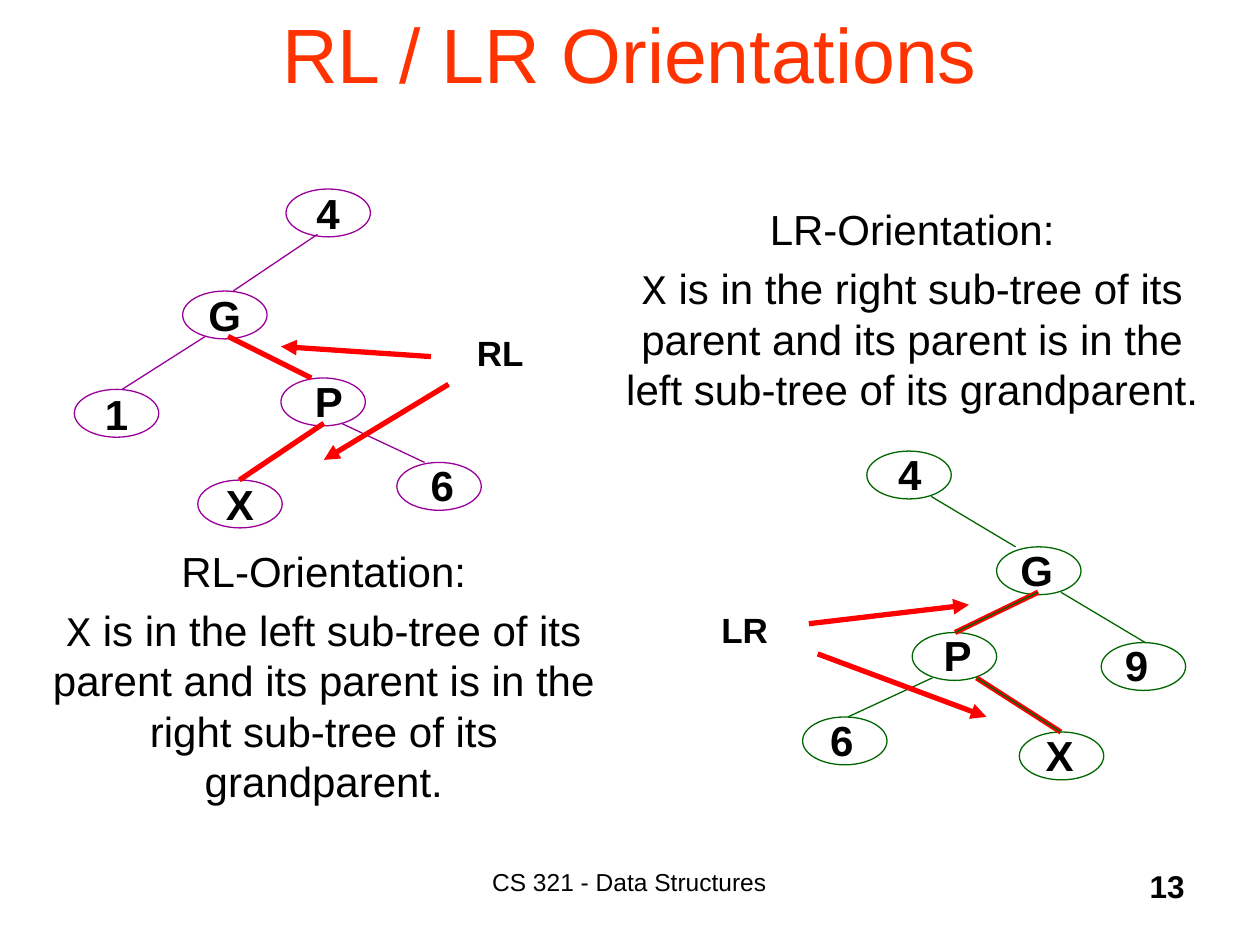
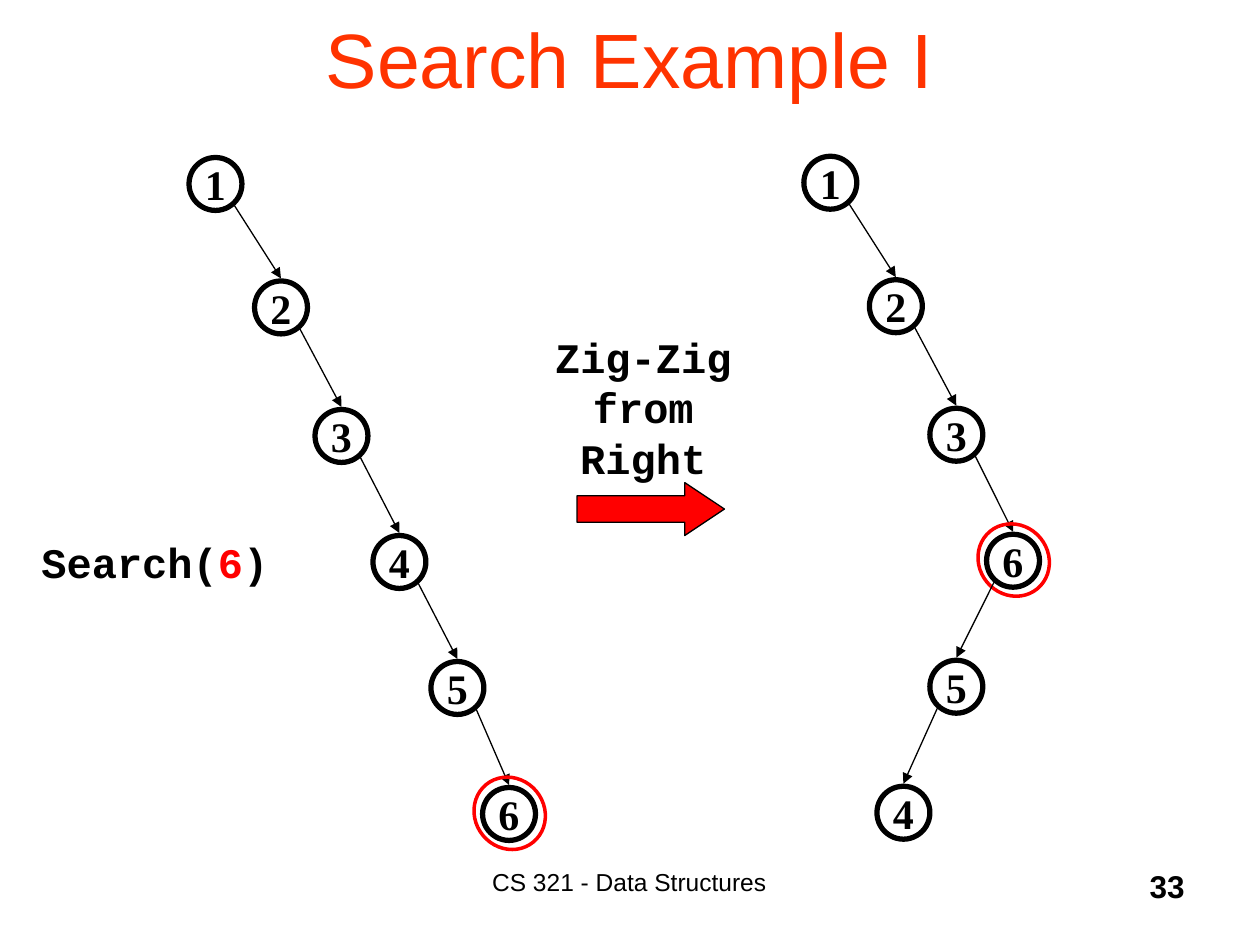
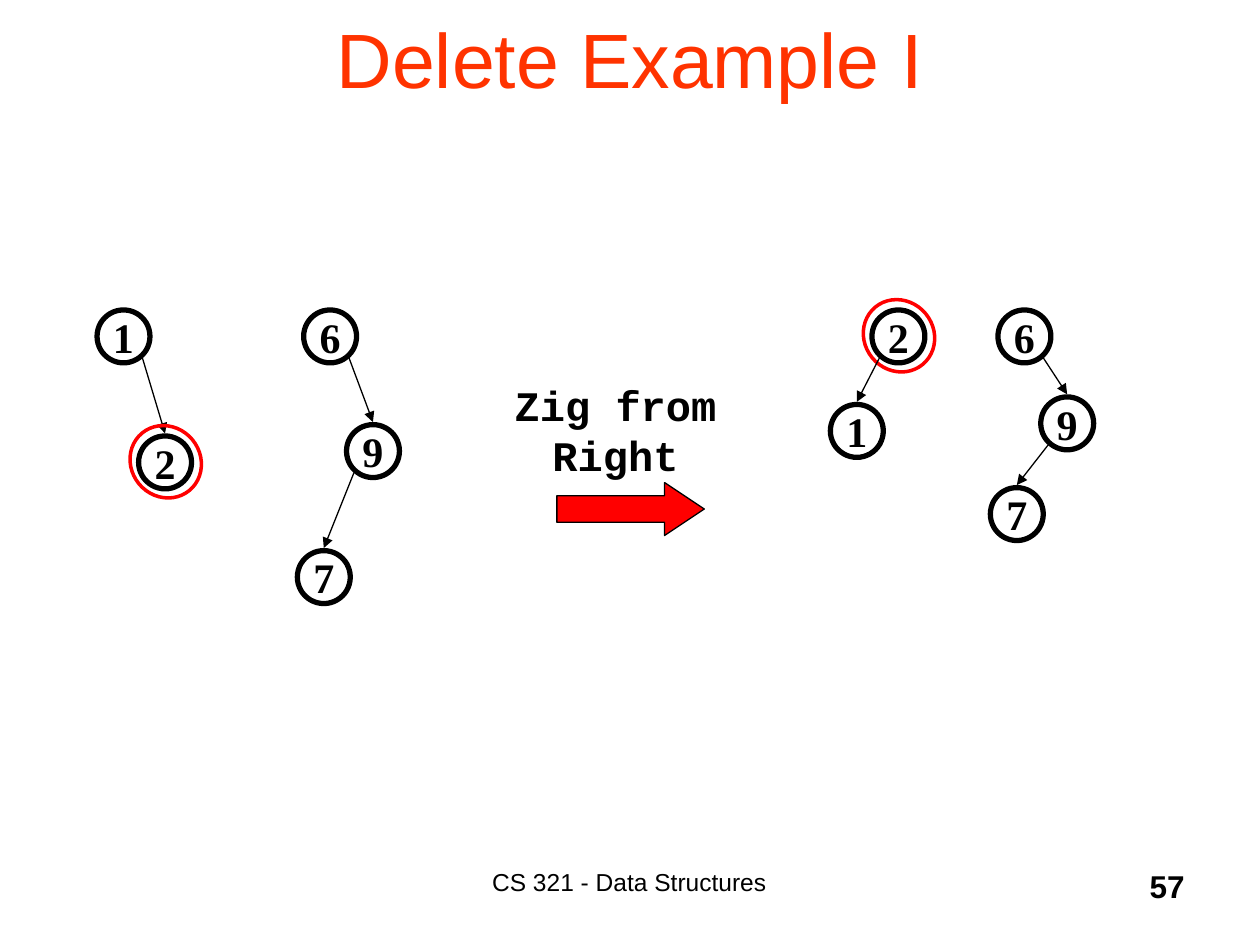
from lxml import etree
from pptx import Presentation
from pptx.dml.color import RGBColor
from pptx.enum.shapes import MSO_CONNECTOR, MSO_SHAPE
from pptx.enum.text import MSO_ANCHOR, PP_ALIGN
from pptx.oxml.ns import qn
from pptx.util import Inches, Pt

BLACK, RED, TITLE_RED = "000000", "FF0000", "FF3300"
PURPLE, GREEN = "990099", "006600"
ARIAL, COURIER, TIMES = "Arial", "Courier New", "Times New Roman"

TITLE = dict(name=ARIAL, size=44, color=TITLE_RED)
FOOTER = dict(name=ARIAL, size=14)
PAGE_NUMBER = dict(name=ARIAL, size=18, bold=True)
BODY = dict(name=ARIAL, size=24)
LABEL = dict(name=ARIAL, size=24, bold=True)
TAG = dict(name=ARIAL, size=20, bold=True)
CODE = dict(name=COURIER, size=24, bold=True)
KEY = dict(name=TIMES, size=24, bold=True)

OVAL_W, OVAL_H = 0.67, 0.38
CIRCLE = 0.42


def rgb(value):
    return RGBColor.from_string(value)


def inches(*values):
    return [Inches(v) for v in values]


def write(shape, paragraphs, style, align=PP_ALIGN.CENTER,
          anchor=MSO_ANCHOR.TOP, wrap=True, leading=None):
    """Fill a shape; each paragraph is a list of (text, style changes)."""
    tf = shape.text_frame
    tf.word_wrap = wrap
    tf.vertical_anchor = anchor
    for i, runs in enumerate(paragraphs):
        p = tf.add_paragraph() if i else tf.paragraphs[0]
        p.alignment = align
        if leading:
            p.line_spacing = Pt(leading)
        if i:
            p.space_before = Pt(4.8)
        for text, changes in runs:
            r = p.add_run()
            r.text = text
            fmt = {"color": BLACK, **style, **changes}
            r.font.color.rgb = rgb(fmt.pop("color"))
            fmt["size"] = Pt(fmt["size"])
            for key, value in fmt.items():
                setattr(r.font, key, value)


def add_text(s, box, text, style, **layout):
    """Add a text box; text is a string or a list of paragraphs."""
    paragraphs = [[(text, {})]] if isinstance(text, str) else text
    write(s.shapes.add_textbox(*inches(*box)), paragraphs, style, **layout)


def add_preset(s, kind, box, line, width, fill=None):
    sp = s.shapes.add_shape(kind, *inches(*box))
    sp.shadow.inherit = False
    if fill:
        sp.fill.solid()
        sp.fill.fore_color.rgb = rgb(fill)
    else:
        sp.fill.background()
    sp.line.color.rgb = rgb(line)
    sp.line.width = Pt(width)
    return sp


def add_line(s, start, end, color, width=0.75, arrow=False):
    line = s.shapes.add_connector(MSO_CONNECTOR.STRAIGHT, *inches(*start, *end))
    line.line.color.rgb = rgb(color)
    line.line.width = Pt(width)
    if arrow:
        etree.SubElement(line.line._get_or_add_ln(), qn("a:tailEnd"), type="triangle")
    etree.SubElement(line._element.spPr, qn("a:effectLst"))


def new_slide(prs, title, number, title_top=-0.17):
    s = prs.slides.add_slide(prs.slide_layouts[6])
    add_text(s, (0.75, title_top, 8.5, 1.25), title, TITLE, anchor=MSO_ANCHOR.MIDDLE)
    add_text(s, (3.08, 6.83, 3.83, 0.5), "CS 321 - Data Structures", FOOTER)
    add_text(s, (7.42, 6.83, 2.08, 0.5), str(number), PAGE_NUMBER, align=PP_ALIGN.RIGHT)
    return s


def oval_tree(s, left, top, color, nodes, edges, red_on_top):
    """Draw a tree of ovals.

    nodes: key -> (dx, dy, label inset, or None for a label inside the oval)
    edges: (parent, child, start inset, end inset, is on the rotated path)
    """
    for key, (dx, dy, inset) in nodes.items():
        x, y = left + dx, top + dy
        oval = add_preset(s, MSO_SHAPE.OVAL, (x, y, OVAL_W, OVAL_H), color, 0.75)
        if inset is None:
            write(oval, [[(key, {})]], LABEL, anchor=MSO_ANCHOR.MIDDLE, wrap=False)
        else:
            add_text(s, (x + inset, y - 0.07, 0.46, 0.5), key, LABEL, align=PP_ALIGN.LEFT)
    for parent, child, start_inset, end_inset, on_path in edges:
        start = left + nodes[parent][0] + start_inset, top + nodes[parent][1] + 0.36
        end = left + nodes[child][0] + end_inset, top + nodes[child][1]
        strokes = [(color, 0.75)]
        if on_path:
            strokes.insert(1 if red_on_top else 0, (RED, 3))
        for stroke in strokes:
            add_line(s, start, end, *stroke)


def orientation_text(s, box, name, side, parent_side):
    rule = (f" is in the {side} sub-tree of its parent and its parent"
            f" is in the {parent_side} sub-tree of its grandparent.")
    add_text(s, box, [[(f"{name}-Orientation:", {})],
                      [("X", {"name": COURIER}), (rule, {})]], BODY, leading=28.8)


def path_tag(s, left, top, name, arrows):
    """Name a rotated path and point two arrows at its edges."""
    add_text(s, (left, top, 0.58, 0.44), name, TAG, anchor=MSO_ANCHOR.MIDDLE, wrap=False)
    for x1, y1, x2, y2 in arrows:
        add_line(s, (left + x1, top + y1), (left + x2, top + y2), RED, 3, arrow=True)


def chain(s, left, top, nodes, marked=None):
    """Draw circles (key, dx, dy) linked in order by arrows, ringing the marked key."""
    previous = None
    for key, dx, dy in nodes:
        x, y = left + dx, top + dy
        circle = add_preset(s, MSO_SHAPE.OVAL, (x, y, CIRCLE, CIRCLE), BLACK, 3)
        write(circle, [[(key, {})]], KEY, anchor=MSO_ANCHOR.MIDDLE, wrap=False)
        if previous:
            px, py = previous
            exit_x = px + (0.36 if x > px else 0.06)
            add_line(s, (exit_x, py + 0.38), (x + CIRCLE / 2, y - 0.02), BLACK, arrow=True)
        if key == marked:
            ring = add_preset(s, MSO_SHAPE.OVAL, (x - 0.06, y - 0.09, 0.55, 0.59), RED, 2)
            ring.rotation = 320.5
        previous = x, y


def step_arrow(s, left, caption, caption_box):
    add_text(s, caption_box, caption, CODE, leading=28.8)
    arrow = add_preset(s, MSO_SHAPE.RIGHT_ARROW, (left, 3.83, 1.17, 0.42), BLACK, 0.75, RED)
    arrow.adjustments[1] = 0.75


def orientations_slide(prs):
    s = new_slide(prs, "RL / LR Orientations", 13, title_top=-0.21)
    orientation_text(s, (0.19, 4.28, 4.76, 2.2), "RL", "left", "right")
    orientation_text(s, (4.84, 1.57, 4.8, 1.8), "LR", "right", "left")
    oval_tree(
        s, 0.59, 1.5, PURPLE,
        {"4": (1.68, 0, None), "G": (0.86, 0.81, None), "1": (0, 1.59, None),
         "P": (1.64, 1.5, 0.17), "X": (0.98, 2.31, None), "6": (2.56, 2.17, 0.17)},
        [("4", "G", 0.25, 0.4, False), ("G", "1", 0.18, 0.38, False),
         ("G", "P", 0.36, 0.24, True), ("P", "X", 0.34, 0.33, True),
         ("P", "6", 0.48, 0.22, False)], red_on_top=True)
    oval_tree(
        s, 6.37, 3.58, GREEN,
        {"4": (0.51, 0, 0.15), "G": (1.54, 0.76, 0.09), "9": (2.37, 1.52, 0.09),
         "P": (0.87, 1.44, 0.15), "6": (0, 2.11, 0.12), "X": (1.72, 2.23, 0.11)},
        [("4", "G", 0.51, 0.15, False), ("G", "9", 0.51, 0.35, False),
         ("G", "P", 0.33, 0.34, True), ("P", "X", 0.51, 0.33, True),
         ("P", "6", 0.16, 0.36, False)], red_on_top=False)
    path_tag(s, 3.68, 2.58, "RL", [(-0.26, 0.25, -1.45, 0.17), (-0.12, 0.47, -1.11, 1.07)])
    path_tag(s, 5.62, 4.78, "LR", [(0.8, 0.17, 2.07, 0.02), (0.87, 0.41, 2.21, 0.91)])


def search_slide(prs):
    s = new_slide(prs, "Search Example I", 33)
    trunk = [("1", 0, 0), ("2", 0.52, 0.98), ("3", 1, 2)]
    chain(s, 1.5, 1.25, trunk + [("4", 1.46, 3), ("5", 1.92, 4), ("6", 2.33, 5)], marked="6")
    chain(s, 6.38, 1.24, trunk + [("6", 1.45, 3), ("5", 1, 4), ("4", 0.58, 5)], marked="6")
    add_text(s, (0.23, 4.21, 2.02, 0.5),
             [[("Search(", {}), ("6", {"color": RED}), (")", {})]],
             CODE, align=PP_ALIGN.LEFT, wrap=False, leading=28.8)
    step_arrow(s, 4.58, "Zig-Zig from Right", (4.25, 2.58, 1.71, 1.31))


def delete_slide(prs):
    s = new_slide(prs, "Delete Example I", 57)
    top = 2.46
    chain(s, 0.77, top, [("1", 0, 0), ("2", 0.33, 1)], marked="2")
    chain(s, 2.41, top, [("6", 0, 0), ("9", 0.34, 0.91), ("7", -0.05, 1.91)])
    chain(s, 6.92, top, [("2", 0, 0), ("1", -0.33, 0.75)], marked="2")
    chain(s, 7.92, top, [("6", 0, 0), ("9", 0.34, 0.69), ("7", -0.06, 1.41)])
    step_arrow(s, 4.42, "Zig from Right", (3.75, 2.96, 2.27, 0.91))


def main():
    prs = Presentation()
    prs.slide_width, prs.slide_height = inches(10, 7.5)
    for build in (orientations_slide, search_slide, delete_slide):
        build(prs)
    prs.save("out.pptx")


if __name__ == "__main__":
    main()
